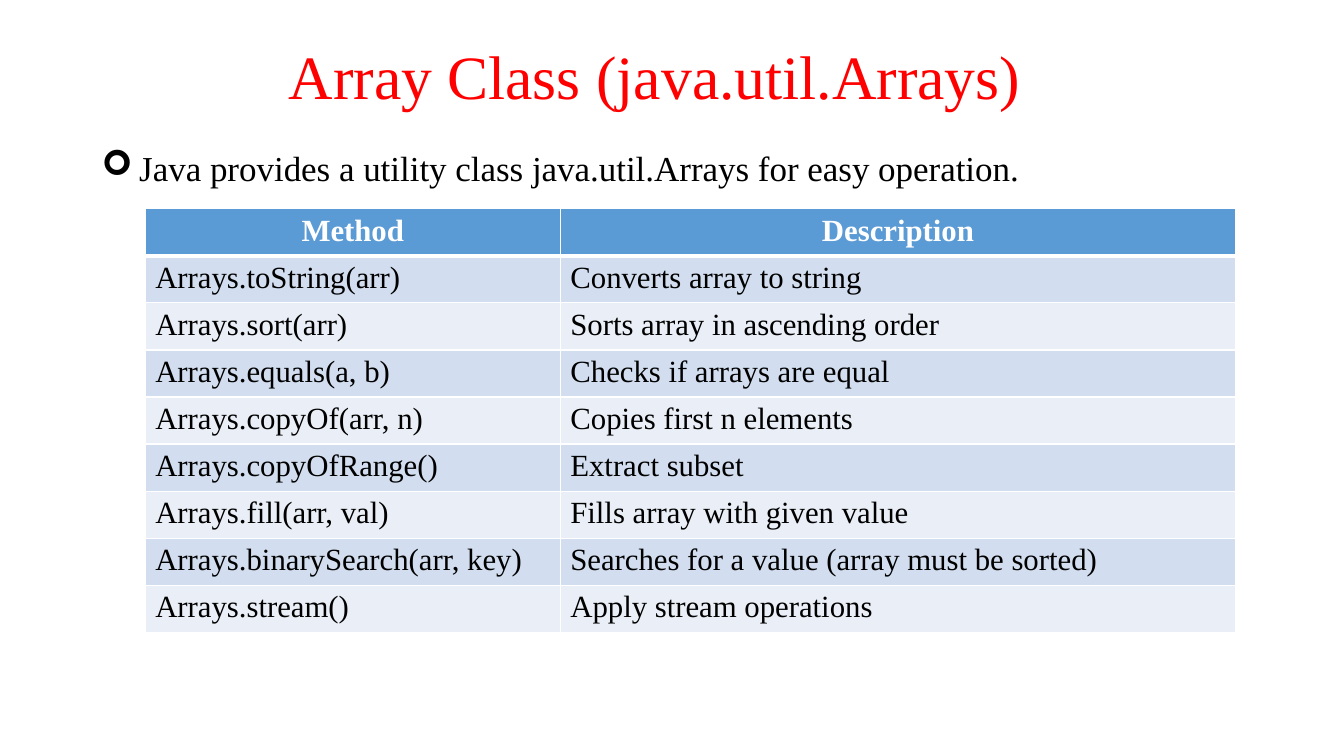
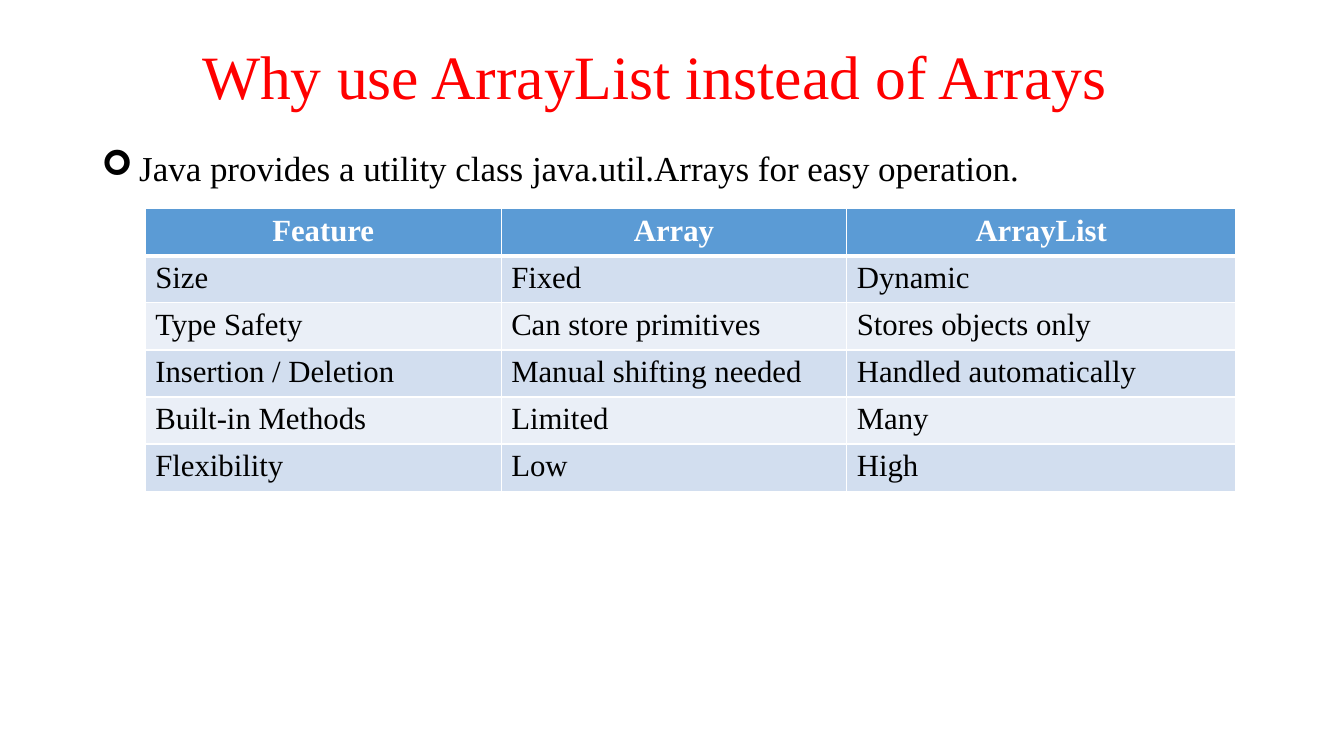
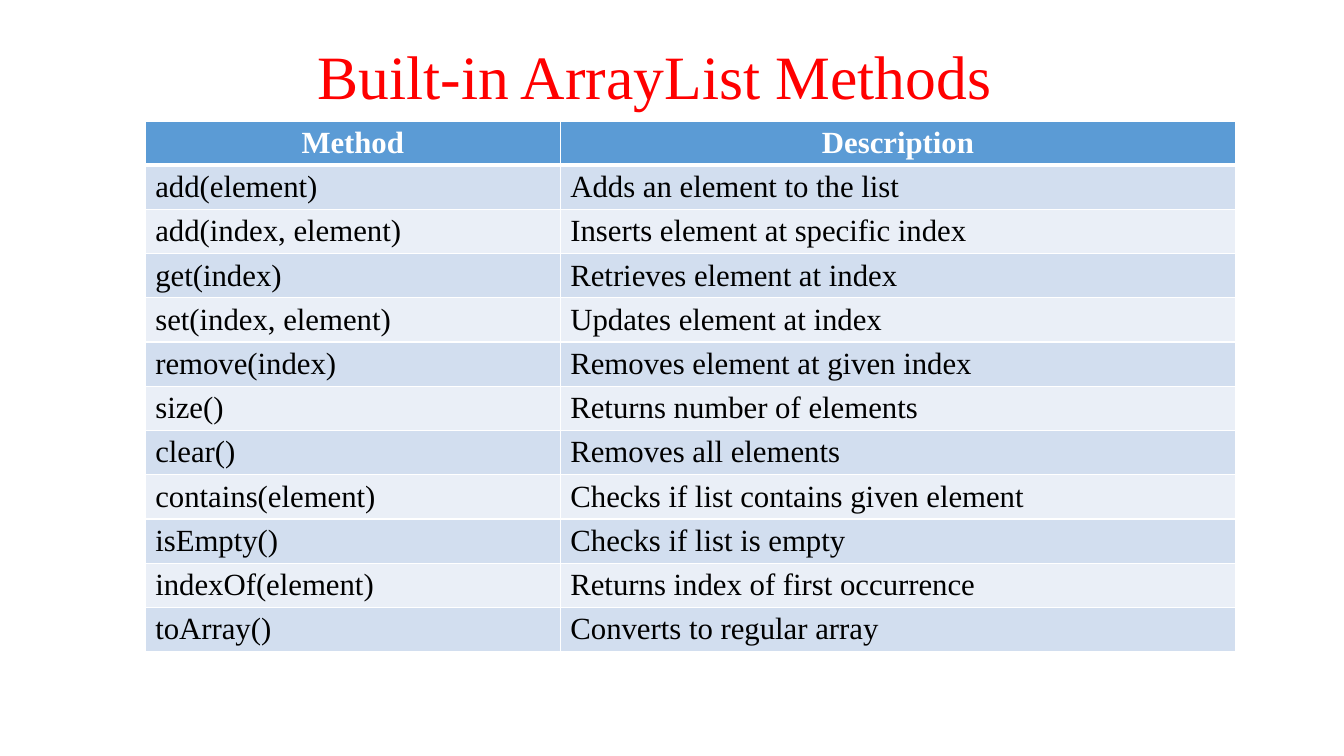
from dataclasses import dataclass
from typing import Any, Optional

from lxml import etree
from pptx import Presentation
from pptx import util as u
from pptx.dml.color import RGBColor
from pptx.enum import text
from pptx.oxml.ns import qn

# Shared look
RED, BLACK, WHITE = "FF0000", "000000", "FFFFFF"
HEADER_BLUE, BANDS = "5B9BD5", ("D2DEEF", "EAEFF7")
FACE = "Times New Roman"
TITLE_FONT = {"name": FACE, "size": u.Pt(44)}
BULLET_FONT = {"name": FACE, "size": u.Pt(25)}
HEADER_FONT = {"name": FACE, "size": u.Pt(22), "bold": True}
BODY_FONT = {"name": FACE, "size": u.Pt(22), "bold": False}
TABLE_LEFT = 3.66
METHOD_COLUMNS = (10.46, 17.02)
FEATURE_COLUMNS = (8.97, 8.71, 9.8)
INTRO = "Java provides a utility class java.util.Arrays for easy operation."


@dataclass(frozen=True)
class Lesson:
    title: str
    intro: Optional[str]
    table_top: float
    table_height: float
    columns: tuple[float, ...]
    rows: tuple[tuple[str, ...], ...]


LESSONS = (
    Lesson("Array Class (java.util.Arrays)", INTRO, 5.26, 10.67, METHOD_COLUMNS, (
        ("Method", "Description"),
        ("Arrays.toString(arr)", "Converts array to string"),
        ("Arrays.sort(arr)", "Sorts array in ascending order"),
        ("Arrays.equals(a, b)", "Checks if arrays are equal"),
        ("Arrays.copyOf(arr, n)", "Copies first n elements"),
        ("Arrays.copyOfRange()", "Extract subset"),
        ("Arrays.fill(arr, val)", "Fills array with given value"),
        ("Arrays.binarySearch(arr, key)", "Searches for a value (array must be sorted)"),
        ("Arrays.stream()", "Apply stream operations"),
    )),
    Lesson("Why use ArrayList instead of Arrays", INTRO, 5.26, 7.11, FEATURE_COLUMNS, (
        ("Feature", "Array", "ArrayList"),
        ("Size", "Fixed", "Dynamic"),
        ("Type Safety", "Can store primitives", "Stores objects only"),
        ("Insertion / Deletion", "Manual shifting needed", "Handled automatically"),
        ("Built-in Methods", "Limited", "Many"),
        ("Flexibility", "Low", "High"),
    )),
    Lesson("Built-in ArrayList Methods", None, 3.05, 13.34, METHOD_COLUMNS, (
        ("Method", "Description"),
        ("add(element)", "Adds an element to the list"),
        ("add(index, element)", "Inserts element at specific index"),
        ("get(index)", "Retrieves element at index"),
        ("set(index, element)", "Updates element at index"),
        ("remove(index)", "Removes element at given index"),
        ("size()", "Returns number of elements"),
        ("clear()", "Removes all elements"),
        ("contains(element)", "Checks if list contains given element"),
        ("isEmpty()", "Checks if list is empty"),
        ("indexOf(element)", "Returns index of first occurrence"),
        ("toArray()", "Converts to regular array"),
    )),
)


def paint(target: Any, color: str) -> None:
    """Colour a font or a solid fill."""
    colored = target.fore_color if hasattr(target, "fore_color") else target.color
    colored.rgb = RGBColor.from_string(color)


def write(paragraph: Any, words: str, font: dict[str, Any], color: str) -> None:
    run = paragraph.add_run()
    run.text = words
    for attribute, value in font.items():
        setattr(run.font, attribute, value)
    paint(run.font, color)


def add_title(slide: Any, words: str) -> None:
    title = slide.shapes.title
    place = {"left": 1.9, "top": 0.97, "width": 29.21, "height": 2.08}
    for attribute, length in place.items():
        setattr(title, attribute, u.Cm(length))
    title.text_frame.vertical_anchor = text.MSO_ANCHOR.MIDDLE
    heading = title.text_frame.paragraphs[0]
    heading.alignment = text.PP_ALIGN.CENTER
    heading.line_spacing = 0.9
    write(heading, words, TITLE_FONT, RED)


def add_intro(slide: Any, words: str) -> None:
    intro = slide.shapes.add_textbox(u.Cm(2.31), u.Cm(3.48), u.Cm(29.95), u.Cm(2.08))
    frame = intro.text_frame
    frame.word_wrap = True
    frame.margin_top = u.Cm(0.2)
    point = frame.paragraphs[0]
    # Hanging arrow bullet
    properties = point._p.get_or_add_pPr()
    hang = u.Cm(0.95)
    properties.set("marL", str(hang))
    properties.set("indent", str(-hang))
    etree.SubElement(properties, qn("a:buFont"), typeface="Wingdings")
    etree.SubElement(properties, qn("a:buChar"), char="➢")
    write(point, words, BULLET_FONT, BLACK)


def add_borders(cell: Any, row: int) -> None:
    """White rules, thicker between the header and the body."""
    widths = {"L": 1, "R": 1, "T": 3 if row == 1 else 1, "B": 3 if row == 0 else 1}
    properties = cell._tc.get_or_add_tcPr()
    for side, width in widths.items():
        rule = etree.SubElement(properties, qn(f"a:ln{side}"), w=str(u.Pt(width)))
        solid = etree.SubElement(rule, qn("a:solidFill"))
        etree.SubElement(solid, qn("a:srgbClr"), val=WHITE)


def add_lesson_table(slide: Any, lesson: Lesson) -> None:
    table = slide.shapes.add_table(
        len(lesson.rows), len(lesson.columns), u.Cm(TABLE_LEFT), u.Cm(lesson.table_top),
        u.Cm(sum(lesson.columns)), u.Cm(lesson.table_height)).table
    for column, width in zip(table.columns, lesson.columns):
        column.width = u.Cm(width)
    for r, entries in enumerate(lesson.rows):
        header = r == 0
        for c, words in enumerate(entries):
            cell = table.cell(r, c)
            add_borders(cell, r)
            cell.fill.solid()
            paint(cell.fill, HEADER_BLUE if header else BANDS[(r - 1) % 2])
            paragraph = cell.text_frame.paragraphs[0]
            paragraph.alignment = text.PP_ALIGN.CENTER if header else text.PP_ALIGN.LEFT
            write(paragraph, words, HEADER_FONT if header else BODY_FONT,
                  WHITE if header else BLACK)


def main() -> None:
    deck = Presentation()
    deck.slide_width, deck.slide_height = u.Cm(33.87), u.Cm(19.05)
    title_only = deck.slide_layouts[5]
    for lesson in LESSONS:
        slide = deck.slides.add_slide(title_only)
        add_title(slide, lesson.title)
        if lesson.intro:
            add_intro(slide, lesson.intro)
        add_lesson_table(slide, lesson)
    deck.save("out.pptx")


if __name__ == "__main__":
    main()
